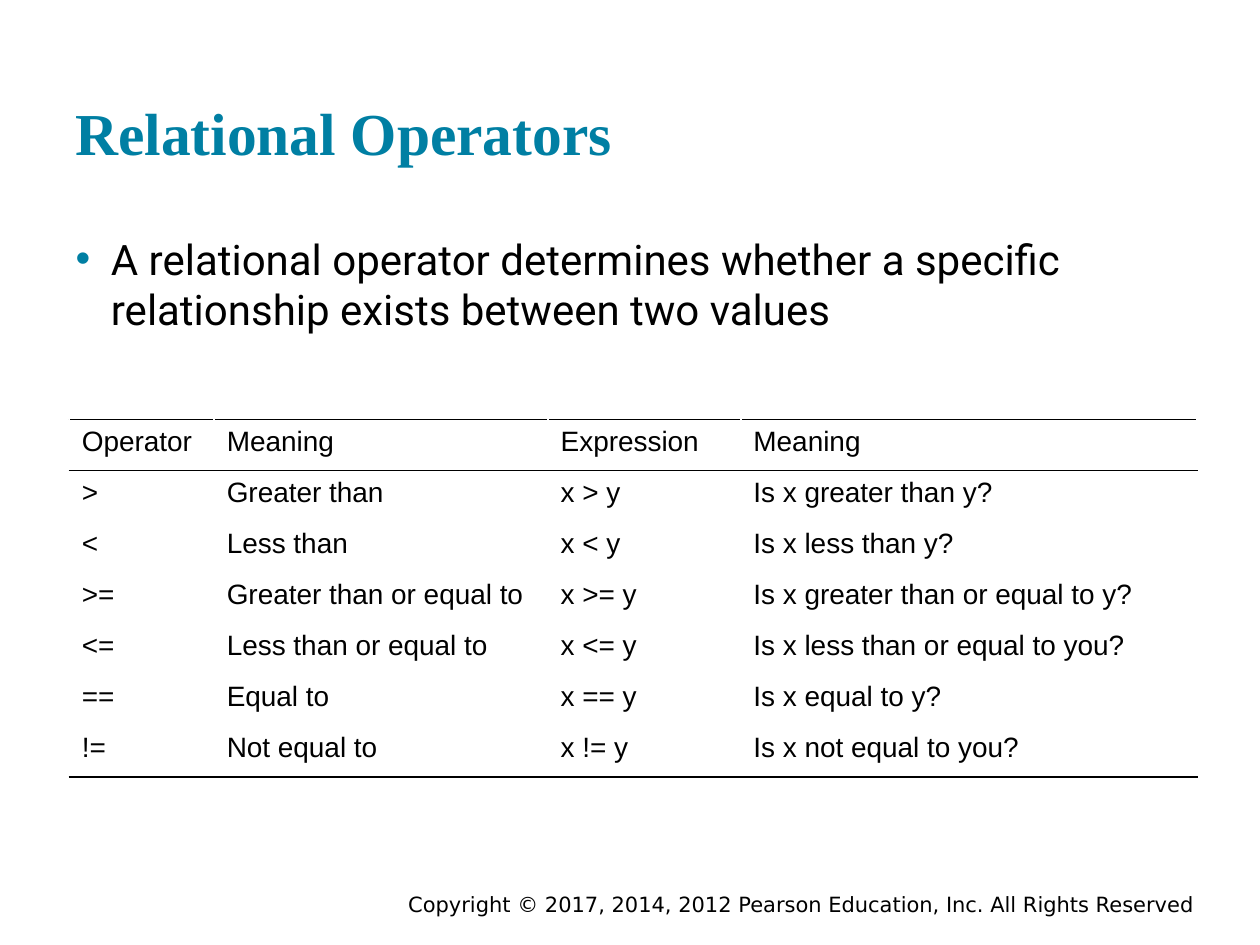
from dataclasses import dataclass

from lxml.etree import SubElement
from pptx import Presentation
from pptx.dml.color import RGBColor
from pptx.enum.text import MSO_ANCHOR as Anchor, MSO_AUTO_SIZE as AutoSize, PP_ALIGN as Align
from pptx.oxml.ns import qn
from pptx.util import Inches, Pt


@dataclass(frozen=True)
class Theme:
    accent: str = "007FA3"
    ink: str = "000000"
    paper: str = "FFFFFF"
    title_size: int = 34
    body_size: int = 24
    table_size: int = 16
    footer_size: int = 12
    title_font: str = "Times New Roman"
    body_font: str = "Roboto"
    table_font: str = "Arial"
    footer_font: str = "DejaVu Sans"


THEME = Theme()
INDENT = Inches(0.28)
COLUMN_WIDTHS = (1.15, 2.65, 1.53, 3.62)
OPERATORS = (
    ("Operator", "Meaning", "Expression", "Meaning"),
    (">", "Greater than", "x > y", "Is x greater than y?"),
    ("<", "Less than", "x < y", "Is x less than y?"),
    (">=", "Greater than or equal to", "x >= y", "Is x greater than or equal to y?"),
    ("<=", "Less than or equal to", "x <= y", "Is x less than or equal to you?"),
    ("==", "Equal to", "x == y", "Is x equal to y?"),
    ("!=", "Not equal to", "x != y", "Is x not equal to you?"),
)


def write(para, text, *, font, size, color=THEME.ink, bold=False, align=Align.LEFT):
    para.alignment = align
    para.space_before = Pt(0)
    span = para.add_run()
    span.text = text
    span.font.name = font
    span.font.size = Pt(size)
    span.font.bold = bold
    span.font.color.rgb = RGBColor.from_string(color)


def place(shape, box, anchor, inset=0.1):
    shape.left, shape.top, shape.width, shape.height = map(Inches, box)
    frame = shape.text_frame
    frame.word_wrap = True
    frame.vertical_anchor = anchor
    frame.margin_left = frame.margin_right = Inches(0.1)
    frame.margin_top = frame.margin_bottom = Inches(inset)
    return frame


def add_bullet(para, color):
    props = para._p.get_or_add_pPr()
    props.set("marL", str(INDENT))
    props.set("indent", str(-INDENT))
    SubElement(SubElement(props, qn("a:buClr")), qn("a:srgbClr"), val=color)
    SubElement(props, qn("a:buFont"), typeface=THEME.table_font)
    SubElement(props, qn("a:buChar"), char="•")


def set_borders(cell, top, bottom):
    props = cell._tc.get_or_add_tcPr()
    edges = {"a:lnL": THEME.paper, "a:lnR": THEME.paper, "a:lnT": top, "a:lnB": bottom}
    for tag, color in edges.items():
        line = SubElement(props, qn(tag), w=str(Pt(1)))
        SubElement(SubElement(line, qn("a:solidFill")), qn("a:srgbClr"), val=color)


def fill_title(page, box):
    frame = place(page.shapes.title, box, Anchor.BOTTOM)
    frame.auto_size = AutoSize.SHAPE_TO_FIT_TEXT
    write(frame.paragraphs[0], "Relational Operators", font=THEME.title_font,
          size=THEME.title_size, color=THEME.accent, bold=True)


def fill_body(page, box):
    frame = place(page.placeholders[1], box, Anchor.TOP)
    frame.auto_size = AutoSize.SHAPE_TO_FIT_TEXT
    para = frame.paragraphs[0]
    add_bullet(para, THEME.accent)
    write(para, "A relational operator determines whether a specific relationship "
          "exists between two values", font=THEME.body_font, size=THEME.body_size)


def add_operator_table(page, box):
    frame = page.shapes.add_table(len(OPERATORS), len(COLUMN_WIDTHS), *map(Inches, box))
    table = frame.table
    table.first_row = table.horz_banding = False
    for column, width in zip(table.columns, COLUMN_WIDTHS):
        column.width = Inches(width)
    ruled_edges = {0, 1, len(OPERATORS)}
    for index, texts in enumerate(OPERATORS):
        top, bottom = (THEME.ink if edge in ruled_edges else THEME.paper
                       for edge in (index, index + 1))
        for cell, text in zip(table.rows[index].cells, texts):
            set_borders(cell, top, bottom)
            cell.fill.solid()
            cell.fill.fore_color.rgb = RGBColor.from_string(THEME.paper)
            write(cell.text_frame.paragraphs[0], text,
                  font=THEME.table_font, size=THEME.table_size)


def add_footer(page, box):
    footer = page.shapes.add_textbox(*map(Inches, box))
    frame = place(footer, box, Anchor.MIDDLE, inset=0)
    write(frame.paragraphs[0],
          "Copyright © 2017, 2014, 2012 Pearson Education, Inc. All Rights Reserved",
          font=THEME.footer_font, size=THEME.footer_size, align=Align.RIGHT)


def main():
    deck = Presentation()
    deck.slide_width, deck.slide_height = Inches(10), Inches(7.5)
    page = deck.slides.add_slide(deck.slide_layouts[1])
    fill_title(page, (0.5, 0.66, 9, 0.77))
    fill_body(page, (0.5, 1.75, 9, 1.01))
    add_operator_table(page, (0.55, 3.33, 8.95, 2.84))
    add_footer(page, (2.92, 7.05, 6.66, 0.25))
    deck.save("out.pptx")


if __name__ == "__main__":
    main()
